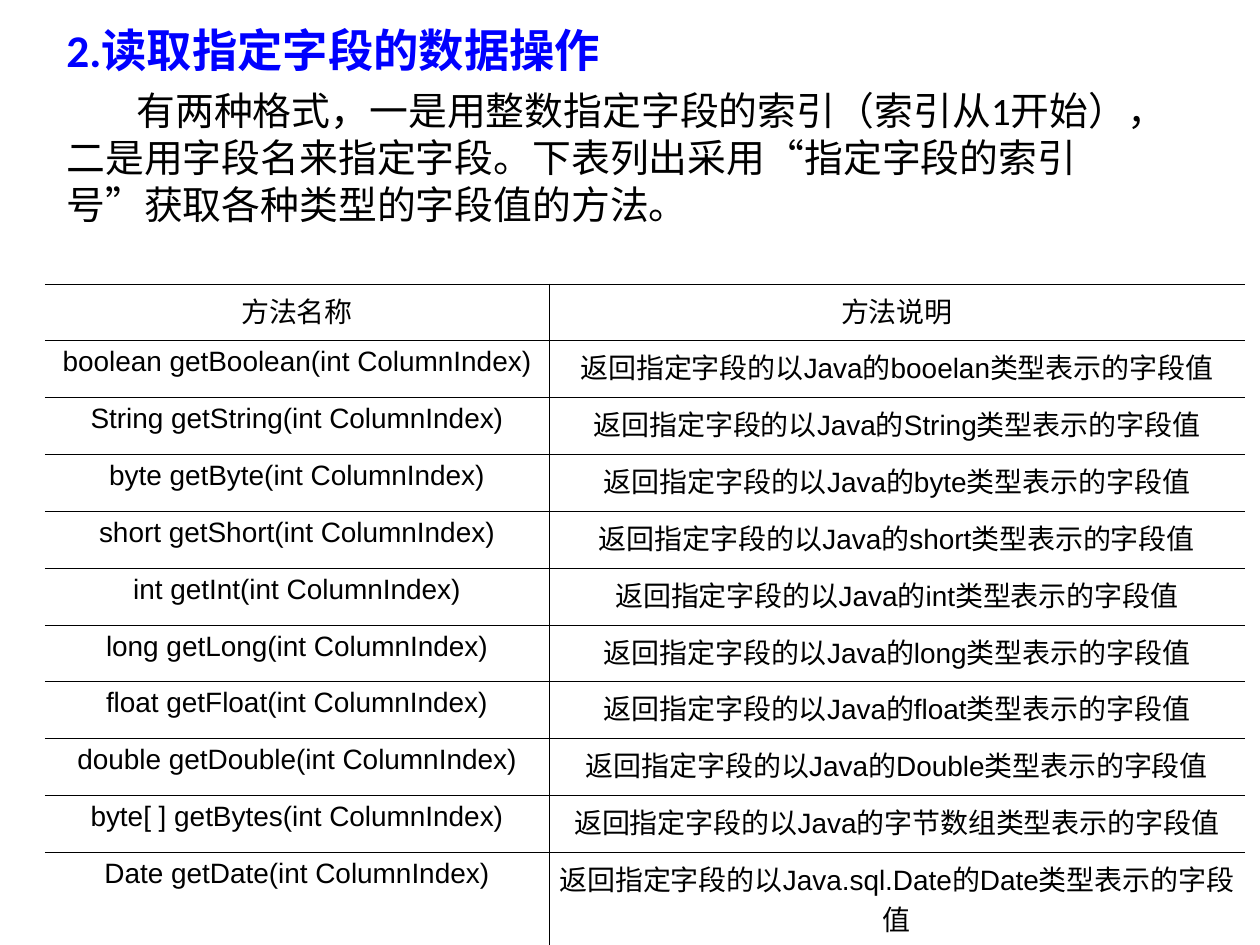
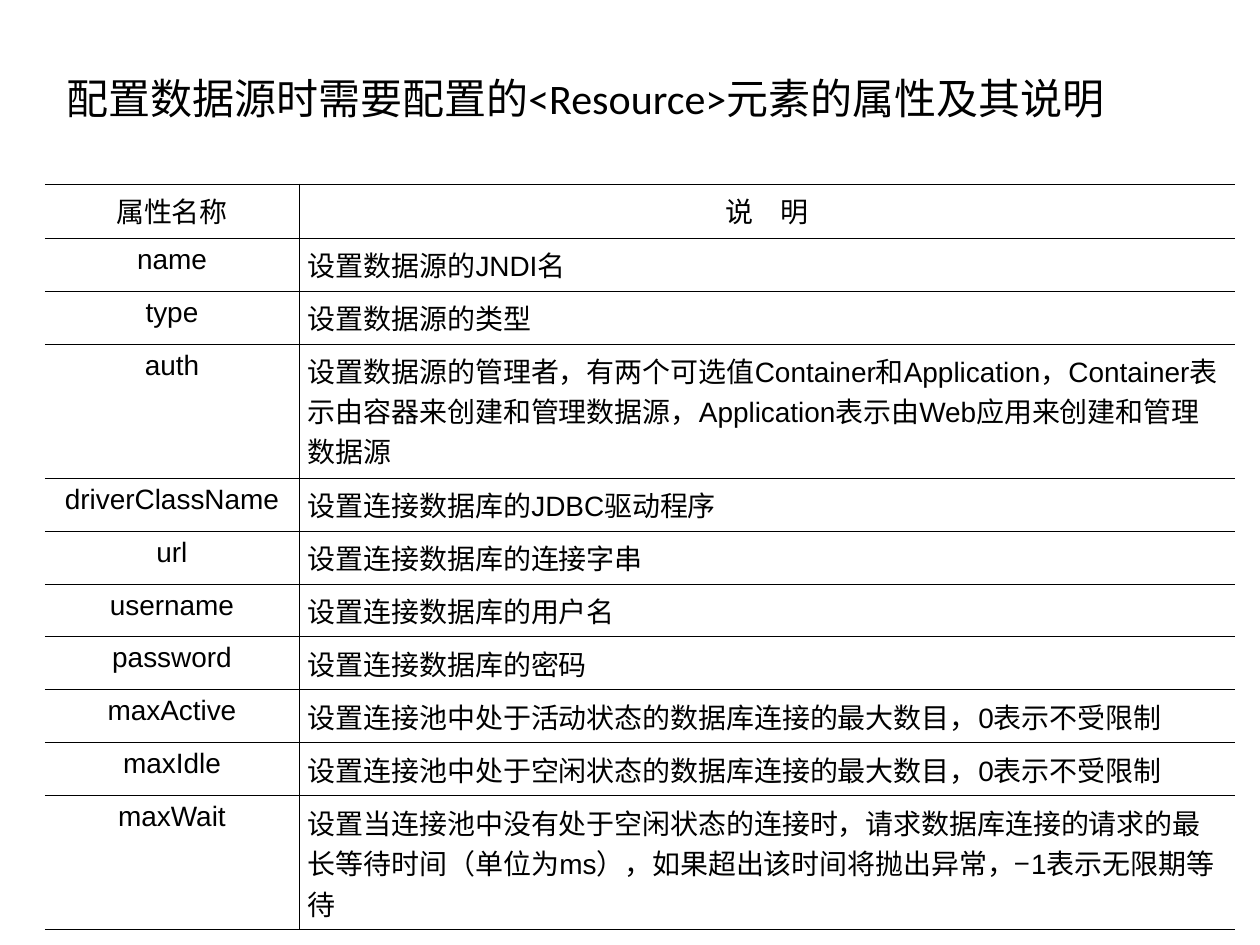
from lxml.etree import SubElement
from pptx import Presentation
from pptx.dml.color import RGBColor
from pptx.enum.lang import MSO_LANGUAGE_ID
from pptx.enum.text import MSO_ANCHOR, PP_ALIGN
from pptx.oxml.ns import qn
from pptx.util import Pt

PX = 914400 // 126
BLACK = RGBColor(0x00, 0x00, 0x00)
BLUE = RGBColor(0x00, 0x00, 0xFF)
HEADING = {"name": "Calibri", "size": Pt(25.9), "bold": True}
BODY = {"name": "Calibri", "size": Pt(22.2), "bold": False}
CAPTION = {"name": "Calibri", "size": Pt(24), "bold": False}
CELL = {"name": "Arial", "size": Pt(16), "bold": False}
CELL_MARGINS = {"margin_left": 9 * PX, "margin_right": 9 * PX, "margin_top": 6 * PX, "margin_bottom": 6 * PX}
TABLE_LEFT = 45


def write(paragraph, text, font_format, color, paragraph_format):
    paragraph.text = text
    font = paragraph.runs[0].font
    for name, value in font_format.items():
        setattr(font, name, value)
    font.language_id = MSO_LANGUAGE_ID.SIMPLIFIED_CHINESE
    font.color.rgb = color
    for name, value in paragraph_format.items():
        setattr(paragraph, name, value)


def add_grid(slide, top, column_widths, row_heights, rows, body_alignment):
    frame = slide.shapes.add_table(len(rows), 2, TABLE_LEFT * PX, top * PX,
                                   sum(column_widths) * PX, sum(row_heights) * PX)
    table = frame.table
    table.first_row = False
    table.horz_banding = False
    for column, width in zip(table.columns, column_widths):
        column.width = width * PX
    for row, height in zip(table.rows, row_heights):
        row.height = height * PX
    for row_index, texts in enumerate(rows):
        for column_index, text in enumerate(texts):
            cell = table.cell(row_index, column_index)
            for name, value in CELL_MARGINS.items():
                setattr(cell, name, value)
            is_description = row_index > 0 and column_index == 1
            alignment = body_alignment if is_description else PP_ALIGN.CENTER
            write(cell.text_frame.paragraphs[0], text, CELL, BLACK, {"alignment": alignment})
            properties = cell._tc.get_or_add_tcPr()
            outer_side = "lnR" if column_index else "lnL"
            for side in ("lnL", "lnR", "lnT", "lnB"):
                line = SubElement(properties, qn(f"a:{side}"), w=str(Pt(0.45)))
                if side == outer_side:
                    SubElement(line, qn("a:noFill"))
                else:
                    fill = SubElement(line, qn("a:solidFill"))
                    SubElement(fill, qn("a:srgbClr"), val=str(BLACK))
            cell.fill.background()
    return table


presentation = Presentation()
presentation.slide_width = 1260 * PX
presentation.slide_height = 945 * PX
blank_layout = presentation.slide_layouts[6]

getter_slide = presentation.slides.add_slide(blank_layout)
intro = getter_slide.shapes.add_textbox(54 * PX, 16 * PX, 1135 * PX, 228 * PX).text_frame
intro.word_wrap = True
write(intro.paragraphs[0], "2.读取指定字段的数据操作", HEADING, BLUE, {"line_spacing": 1.0})
explanation = intro.add_paragraph()
explanation_properties = explanation._p.get_or_add_pPr()
explanation_properties.set("indent", str(70 * PX))
explanation_properties.set("hangingPunct", "0")
write(explanation,
      "有两种格式，一是用整数指定字段的索引（索引从1开始），二是用字段名来指定字段。"
      "下表列出采用“指定字段的索引号”获取各种类型的字段值的方法。",
      BODY, BLACK, {"line_spacing": 1.0, "space_before": Pt(6)})

getters = [
    ("boolean getBoolean", "Java的booelan"),
    ("String getString", "Java的String"),
    ("byte getByte", "Java的byte"),
    ("short getShort", "Java的short"),
    ("int getInt", "Java的int"),
    ("long getLong", "Java的long"),
    ("float getFloat", "Java的float"),
    ("double getDouble", "Java的Double"),
    ("byte[ ] getBytes", "Java的字节数组"),
    ("Date getDate", "Java.sql.Date的Date"),
]
getter_rows = [("方法名称", "方法说明")]
for method, java_type in getters:
    getter_rows.append((f"{method}(int ColumnIndex)", f"返回指定字段的以{java_type}类型表示的字段值"))
getter_heights = [56] + [57] * 5 + [56] + [57] * 3 + [94]
add_grid(getter_slide, 284, [504, 696], getter_heights, getter_rows, PP_ALIGN.CENTER)

resource_slide = presentation.slides.add_slide(blank_layout)
caption = resource_slide.shapes.add_textbox(54 * PX, 66 * PX, 1160 * PX, 90 * PX).text_frame
caption.word_wrap = True
write(caption.paragraphs[0], "配置数据源时需要配置的<Resource>元素的属性及其说明",
      CAPTION, BLACK, {"line_spacing": 1.0})

attribute_rows = [
    ("属性名称", "说　明"),
    ("name", "设置数据源的JNDI名"),
    ("type", "设置数据源的类型"),
    ("auth", "设置数据源的管理者，有两个可选值Container和Application，"
             "Container表示由容器来创建和管理数据源，Application表示由Web应用来创建和管理数据源"),
    ("driverClassName", "设置连接数据库的JDBC驱动程序"),
    ("url", "设置连接数据库的连接字串"),
    ("username", "设置连接数据库的用户名"),
    ("password", "设置连接数据库的密码"),
    ("maxActive", "设置连接池中处于活动状态的数据库连接的最大数目，0表示不受限制"),
    ("maxIdle", "设置连接池中处于空闲状态的数据库连接的最大数目，0表示不受限制"),
    ("maxWait", "设置当连接池中没有处于空闲状态的连接时，请求数据库连接的请求的最长等待时间"
                "（单位为ms），如果超出该时间将抛出异常，−1表示无限期等待"),
]
attribute_heights = [134 if name in ("auth", "maxWait") else 53 for name, description in attribute_rows]
attribute_heights[0] = 54
attribute_table = add_grid(resource_slide, 184, [254, 936], attribute_heights, attribute_rows, PP_ALIGN.LEFT)
attribute_table.cell(len(attribute_rows) - 1, 1).vertical_anchor = MSO_ANCHOR.MIDDLE

presentation.save("out.pptx")
